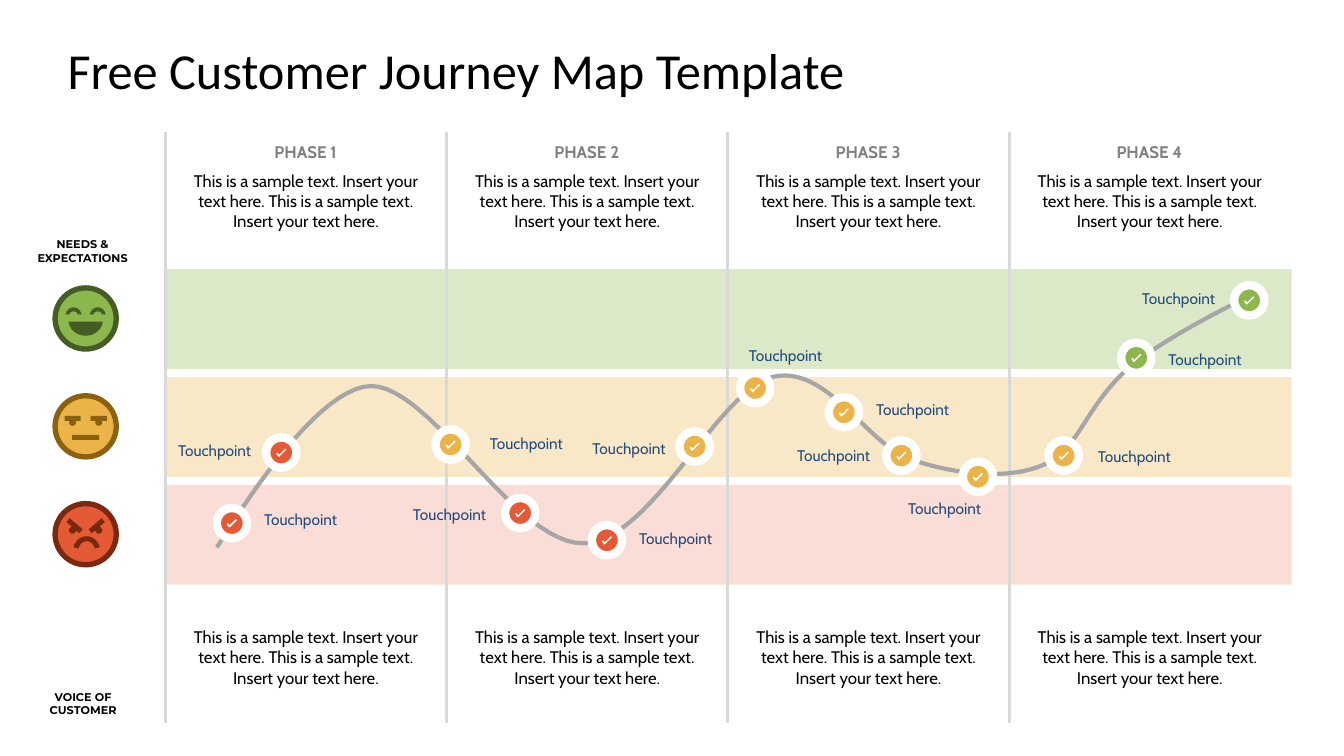
from pptx import Presentation
from pptx.dml.color import RGBColor
from pptx.enum.shapes import MSO_CONNECTOR, MSO_SHAPE
from pptx.enum.text import MSO_ANCHOR, MSO_AUTO_SIZE, PP_ALIGN
from pptx.oxml.ns import qn
from pptx.util import Inches, Pt
from lxml.etree import SubElement

COLORS = {
    "black": "000000", "white": "FFFFFF", "phase": "808080", "navy": "1F497D",
    "divider": "D9D9D9", "curve": "A6A6A6",
    "green": "8BB74C", "amber": "ECB448", "red": "E35A35",
    "dark_green": "465C25", "dark_amber": "8C610E", "dark_red": "7B2811",
    "band_green": "B9D494", "band_amber": "F4D291", "band_red": "F4BDAE",
}
SAMPLE = ("This is a sample text. Insert your text here. "
          "This is a sample text. Insert your text here.")
LEFT, CENTER, RIGHT = PP_ALIGN.LEFT, PP_ALIGN.CENTER, PP_ALIGN.RIGHT


def rgb(name):
    return RGBColor.from_string(COLORS[name])


def trace(start, *segments, steps=24):
    points = [start]
    for segment in segments:
        if len(segment) == 1:
            points.append(segment[0])
            continue
        a, (b, c, d) = points[-1], segment
        for i in range(1, steps + 1):
            t = i / steps
            u = 1 - t
            points.append(tuple(u**3 * a[k] + 3 * u * u * t * b[k]
                                + 3 * u * t * t * c[k] + t**3 * d[k] for k in (0, 1)))
    return points


class JourneySlide:
    def __init__(self, prs):
        self.s = prs.slides.add_slide(prs.slide_layouts[5])
        self.shapes = self.s.shapes

    def group(self):
        self.shapes = self.s.shapes.add_group_shape().shapes

    def style(self, p, size, font, color, bold=False, align=LEFT):
        p.alignment = align
        for r in p.runs:
            r.font.size, r.font.name, r.font.bold = Pt(size), font, bold
            r.font.color.rgb = rgb(color)

    def title(self, text):
        sp = self.s.shapes.title
        sp.left, sp.top, sp.width, sp.height = map(Inches, (0.67, 0.3, 12, 0.78))
        tf = sp.text_frame
        tf.text = text
        tf.margin_left = tf.margin_right = tf.margin_top = tf.margin_bottom = 0
        tf.vertical_anchor = MSO_ANCHOR.MIDDLE
        self.style(tf.paragraphs[0], 36, "Calibri", "black")

    def text(self, text, x, y, w, h, size, font, color, bold=False, align=CENTER,
             wrap=True, anchor=MSO_ANCHOR.TOP):
        tf = self.shapes.add_textbox(*map(Inches, (x, y, w, h))).text_frame
        tf.text = text
        tf.word_wrap = wrap
        tf.auto_size = MSO_AUTO_SIZE.SHAPE_TO_FIT_TEXT
        tf.vertical_anchor = anchor
        for p in tf.paragraphs:
            self.style(p, size, font, color, bold, align)

    def paint(self, sp, fill=None, line=None, width=0):
        sp.shadow.inherit = False
        if fill:
            sp.fill.solid()
            sp.fill.fore_color.rgb = rgb(fill)
        else:
            sp.fill.background()
        if line:
            sp.line.color.rgb = rgb(line)
            sp.line.width = Pt(width)
        else:
            sp.line.fill.background()

    def shape(self, kind, x, y, w, h, fill, line=None, width=0, alpha=None):
        sp = self.shapes.add_shape(kind, *map(Inches, (x, y, w, h)))
        self.paint(sp, fill, line, width)
        if alpha:
            color = sp.fill._xPr.find(qn("a:solidFill"))[0]
            SubElement(color, qn("a:alpha")).set("val", str(alpha * 1000))
        return sp

    def centered(self, kind, cx, cy, w, h, fill, **kw):
        return self.shape(kind, cx - w / 2, cy - h / 2, w, h, fill, **kw)

    def outline(self, points, cx=0, cy=0, fill=None, line=None, width=0):
        emu = [(Inches(cx + x), Inches(cy + y)) for x, y in points]
        builder = self.shapes.build_freeform(*emu[0])
        builder.add_line_segments(emu[1:], close=bool(fill))
        self.paint(builder.convert_to_shape(), fill, line, width)

    def divider(self, x, top, bottom):
        line = self.shapes.add_connector(MSO_CONNECTOR.STRAIGHT,
                                         *map(Inches, (x, top, x, bottom)))
        line.line.color.rgb = rgb("divider")
        line.line.width = Pt(2.25)
        SubElement(line._element.spPr, qn("a:effectLst"))

    def face(self, mood, cy):
        cx, dark = 0.85, f"dark_{mood}"
        self.group()
        self.centered(MSO_SHAPE.OVAL, cx, cy, 0.6, 0.6, mood)
        ring = self.centered(MSO_SHAPE.DONUT, cx, cy, 0.66, 0.66, dark)
        ring.adjustments[0] = 0.08
        if mood == "green":
            self.outline(SMILE, cx, cy, dark)
        elif mood == "amber":
            self.centered(MSO_SHAPE.RECTANGLE, cx, cy + 0.11, 0.27, 0.05, dark)
        else:
            self.outline(FROWN, cx + 0.01, cy, dark)
        for side in (-1, 1):
            if mood == "green":
                self.outline(HAPPY_EYE, cx + side * 0.12, cy, dark)
                continue
            self.centered(MSO_SHAPE.OVAL, cx + side * 0.13, cy - 0.04, 0.07, 0.07, dark)
            if mood == "amber":
                self.centered(MSO_SHAPE.RECTANGLE, cx + side * 0.13, cy - 0.08,
                              0.16, 0.05, dark)
            else:
                self.outline([(side * x, y) for x, y in BROW], cx, cy, dark)

    def marker(self, cx, cy, mood):
        self.group()
        self.centered(MSO_SHAPE.OVAL, cx, cy, 0.3, 0.3, mood, line="white", width=6)
        self.outline(TICK, cx, cy, "white")


JOURNEY = trace(
    (2.15, 5.43),
    [(2.16, 5.44), (3.07, 3.84), (3.68, 3.83)],
    [(4.28, 3.83), (5.12, 5.41), (5.79, 5.39)],
    [(6.45, 5.38), (7.12, 3.88), (7.66, 3.74)],
    [(8.21, 3.61), (8.59, 4.41), (9.04, 4.56)],
    [(9.48, 4.71), (9.99, 4.76), (10.33, 4.62)],
    [(10.67, 4.49), (10.73, 4.13), (11.09, 3.75)],
    [(11.45, 3.37), (12.48, 2.9), (12.47, 2.9)])
SMILE = trace((-0.17, 0.03), [(-0.16, 0.11), (-0.09, 0.17), (0, 0.17)],
              [(0.09, 0.17), (0.16, 0.11), (0.17, 0.03)])
FROWN = trace((0.08, 0.14), [(0.07, 0.1), (0.04, 0.07), (0, 0.07)],
              [(-0.04, 0.07), (-0.07, 0.1), (-0.08, 0.14)], [(-0.13, 0.13)],
              [(-0.12, 0.07), (-0.06, 0.02), (0, 0.02)],
              [(0.06, 0.02), (0.12, 0.07), (0.13, 0.13)])
HAPPY_EYE = trace((0.04, -0.04), [(0.04, -0.06), (0.02, -0.07), (0, -0.07)],
                  [(-0.02, -0.07), (-0.04, -0.06), (-0.04, -0.04)], [(-0.08, -0.04)],
                  [(-0.07, -0.08), (-0.04, -0.11), (0, -0.11)],
                  [(0.04, -0.11), (0.07, -0.08), (0.08, -0.04)])
BROW = [(0.06, -0.01), (0.03, -0.05), (0.16, -0.16), (0.19, -0.12)]
TICK = [(-0.02, 0.02), (-0.04, 0), (-0.05, 0.01), (-0.03, 0.04),
        (-0.02, 0.04), (0.05, -0.03), (0.04, -0.04)]
MARKERS = {
    "red": [(2.3, 5.19), (2.79, 4.49), (5.16, 5.09), (6.02, 5.36)],
    "amber": [(4.47, 4.41), (6.89, 4.43), (7.49, 3.85), (8.37, 4.09),
              (8.94, 4.52), (9.7, 4.73), (10.55, 4.52)],
    "green": [(11.27, 3.55), (12.39, 2.98)],
}
LABELS = {
    LEFT: [(2.52, 5.01), (4.76, 4.25), (6.24, 5.2), (7.33, 3.38),
           (8.59, 3.92), (10.79, 4.38), (11.49, 3.42)],
    RIGHT: [(1.61, 4.32), (3.94, 4.96), (5.72, 4.3), (7.75, 4.37),
            (8.85, 4.9), (11.17, 2.81)],
}


def main():
    prs = Presentation()
    prs.slide_width, prs.slide_height = Inches(13.33), Inches(7.5)
    page = JourneySlide(prs)
    page.title("Free Customer Journey Map Template")
    moods = ("green", "amber", "red")
    for i, mood in enumerate(moods):
        page.shape(MSO_SHAPE.RECTANGLE, 1.64, 2.67 + i * 1.07, 11.17, 0.99,
                   f"band_{mood}", alpha=50)
    page.text("NEEDS &\nEXPECTATIONS", 0.23, 2.31, 1.18, 0.37, 8, "Montserrat", "black", True)
    page.text("VOICE OF\nCUSTOMER", 0.37, 6.8, 0.91, 0.37, 8, "Montserrat", "black", True)
    for i in range(4):
        x = 1.64 + i * 2.79
        page.divider(x, 1.31, 7.17)
        page.text(f"PHASE {i + 1}", x + 0.95, 1.36, 0.88, 0.3, 12, "Cabin", "phase",
                  True, wrap=False)
        for y in (1.64, 6.17):
            page.text(SAMPLE, x + 0.15, y, 2.49, 0.71, 12, "Cabin", "black")
    page.outline(JOURNEY, line="curve", width=3)
    for align, places in LABELS.items():
        for x, y in places:
            page.text("Touchpoint", x, y, 0.98, 0.29, 11, "Cabin", "navy", align=align,
                      wrap=False, anchor=MSO_ANCHOR.MIDDLE)
    for i, mood in enumerate(moods):
        page.face(mood, 3.16 + i * 1.07)
    for mood, centers in MARKERS.items():
        for cx, cy in centers:
            page.marker(cx, cy, mood)
    prs.save("out.pptx")


if __name__ == "__main__":
    main()
